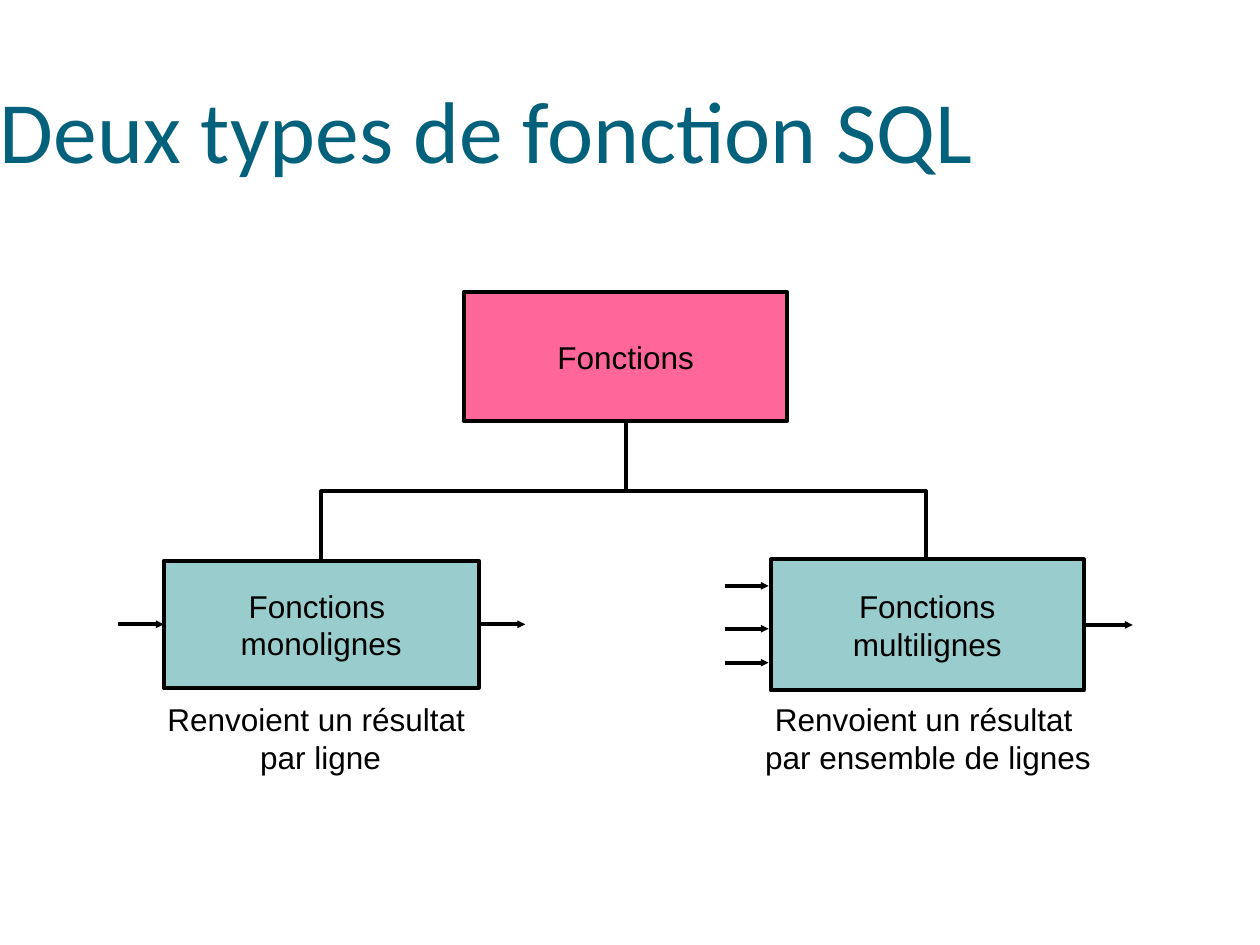
import dataclasses
import typing

import lxml.etree
import pptx
import pptx.dml.color
import pptx.enum.shapes
import pptx.enum.text
import pptx.oxml.ns
import pptx.util

Pt = pptx.util.Pt
Color = pptx.dml.color.RGBColor
Anchor = pptx.enum.text.MSO_ANCHOR
Align = pptx.enum.text.PP_ALIGN
Kind = pptx.enum.shapes.MSO_SHAPE
Link = pptx.enum.shapes.MSO_CONNECTOR
TOP, LEFT, BOTTOM, RIGHT = range(4)


@dataclasses.dataclass(frozen=True)
class Theme:
    title: Color = Color(0x04, 0x61, 0x7B)
    ink: Color = Color(0, 0, 0)
    root: Color = Color(0xFF, 0x66, 0x99)
    leaf: Color = Color(0x99, 0xCC, 0xCC)
    head: str = "Calibri"
    body: str = "Arial"
    large: float = 50
    small: float = 18
    line: float = 2.25


@dataclasses.dataclass(frozen=True)
class Box:
    text: str
    x: float
    y: float
    w: float
    h: float
    fill: typing.Optional[Color] = None


@dataclasses.dataclass(frozen=True)
class Arrow:
    x: float
    y: float
    end: float
    source: typing.Any = None
    target: typing.Any = None


THEME = Theme()


def write(shape, text: str, font: str, size: float, color: Color, align) -> None:
    frame = shape.text_frame
    frame.text = text
    for para in frame.paragraphs:
        para.alignment = align
        for run in para.runs:
            run.font.name = font
            run.font.size = Pt(size)
            run.font.color.rgb = color


def stroke(line) -> None:
    line.color.rgb = THEME.ink
    line.width = Pt(THEME.line)


def draw_box(shapes, box: Box):
    place = [Pt(n) for n in (box.x, box.y, box.w, box.h)]
    if box.fill is None:
        shape = shapes.add_textbox(*place)
    else:
        shape = shapes.add_shape(Kind.RECTANGLE, *place)
        shape.shadow.inherit = False
        shape.fill.solid()
        shape.fill.fore_color.rgb = box.fill
        stroke(shape.line)
    write(shape, box.text, THEME.body, THEME.small, THEME.ink, Align.CENTER)
    shape.text_frame.word_wrap = False
    shape.text_frame.vertical_anchor = Anchor.MIDDLE
    return shape


def draw_line(shapes, x: float, y: float, to_x: float, to_y: float):
    line = shapes.add_connector(Link.STRAIGHT, Pt(x), Pt(y), Pt(to_x), Pt(to_y))
    stroke(line.line)
    props = line._element.spPr
    lxml.etree.SubElement(props, pptx.oxml.ns.qn("a:effectLst"))
    return line


def draw_arrow(shapes, arrow: Arrow) -> None:
    line = draw_line(shapes, arrow.x, arrow.y, arrow.end, arrow.y)
    lxml.etree.SubElement(
        line.line._get_or_add_ln(), pptx.oxml.ns.qn("a:tailEnd"),
        type="triangle", w="sm", len="sm",
    )
    if arrow.source is not None:
        line.begin_connect(arrow.source, RIGHT)
    if arrow.target is not None:
        line.end_connect(arrow.target, LEFT)


def draw_title(shapes) -> None:
    title = shapes.add_textbox(Pt(0), Pt(34.56), Pt(623.5), Pt(69.1))
    write(title, "Deux types de fonction SQL", THEME.head, THEME.large,
          THEME.title, Align.LEFT)
    frame = title.text_frame
    frame.word_wrap = True
    frame.vertical_anchor = Anchor.BOTTOM
    frame.margin_left = frame.margin_right = frame.margin_bottom = Pt(0)
    frame.margin_top = Pt(3.6)


def draw_fork(shapes, left: float, right: float, top: float, base: float) -> None:
    maker = shapes.build_freeform(Pt(left), Pt(base))
    points = [(left, top), (right, top), (right, base)]
    maker.add_line_segments([(Pt(x), Pt(y)) for x, y in points], close=False)
    fork = maker.convert_to_shape()
    fork.shadow.inherit = False
    fork.fill.background()
    stroke(fork.line)


def main() -> None:
    deck = pptx.Presentation()
    deck.slide_width, deck.slide_height = Pt(720), Pt(540)
    shapes = deck.slides.add_slide(deck.slide_layouts[6]).shapes

    draw_fork(shapes, 183.6, 529.2, 280.8, 320.4)
    draw_title(shapes)

    root = draw_box(shapes, Box("Fonctions", 265, 167, 185, 73.5, THEME.root))
    single = draw_box(shapes, Box("Fonctions \nmonolignes", 93.6, 320.4, 180, 72.7, THEME.leaf))
    multi = draw_box(shapes, Box("Fonctions\nmultilignes", 440.6, 319.7, 178.6, 74.9, THEME.leaf))

    stem = draw_line(shapes, 357.5, 240.5, 357.5, 280.8)
    stem.begin_connect(root, BOTTOM)

    arrows = [
        Arrow(67.7, 356.75, 93.6, target=single),
        Arrow(273.6, 356.75, 300.2, source=single),
        Arrow(619.2, 357.15, 647.3, source=multi),
    ]
    arrows += [Arrow(414, y, 439.2) for y in (334.8, 359.3, 378.7)]
    for arrow in arrows:
        draw_arrow(shapes, arrow)

    notes = [
        Box("Renvoient un résultat \npar ligne", 61.2, 402.5, 244, 38.2),
        Box("Renvoient un résultat \npar ensemble de lignes", 391.7, 402.5, 277.2, 38.2),
    ]
    for note in notes:
        draw_box(shapes, note)

    deck.save("out.pptx")


if __name__ == "__main__":
    main()
